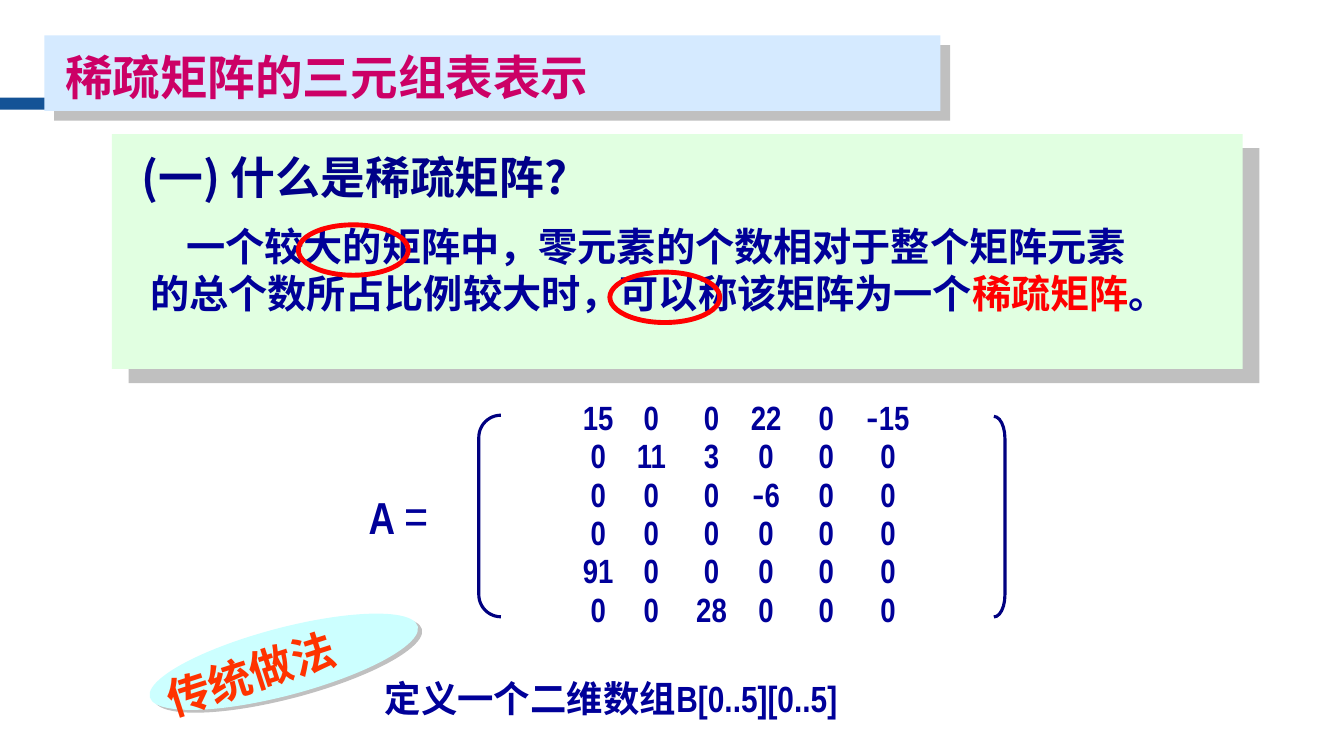
"""Build a slide that introduces the sparse matrix and its triple table."""
from dataclasses import dataclass
from typing import Optional

from lxml.etree import SubElement
from pptx import Presentation
from pptx.dml.color import RGBColor
from pptx.enum.shapes import MSO_SHAPE as Preset
from pptx.oxml.ns import qn
from pptx.util import Pt

COLORS = {
    "bar": "145396", "panel": "E1FFE1", "title_panel": "D5EAFF",
    "oval": "CCFFFF", "shadow": "C0C0C0", "black": "000000",
    "heading": "000088", "body": "000099", "bracket": "000080",
    "title": "CC0066", "red": "FF0000", "method": "FF3300",
}
NARROW, HAN = "Arial Narrow", "Noto Sans CJK SC"
COLUMN_CENTERS = (17, 55, 98, 137, 180, 224)
MATRIX = (
    (15, 0, 0, 22, 0, -15),
    (0, 11, 3, 0, 0, 0),
    (0, 0, 0, -6, 0, 0),
    (0, 0, 0, 0, 0, 0),
    (91, 0, 0, 0, 0, 0),
    (0, 0, 28, 0, 0, 0),
)


@dataclass(frozen=True)
class Box:
    left: float
    top: float
    width: float
    height: float
    rotation: float = 0


@dataclass(frozen=True)
class Figure:
    preset: Preset
    box: Box
    fill: Optional[str] = None
    line: Optional[str] = None
    weight: float = 0
    adjustment: Optional[float] = None
    shadow: Optional[tuple[float, float]] = None


@dataclass(frozen=True)
class Span:
    text: str
    color: Optional[str] = None
    size: Optional[float] = None
    bold: Optional[bool] = None
    font: Optional[str] = None


@dataclass(frozen=True)
class Line:
    spans: tuple[Span, ...]
    indent: float = 0
    tabs: tuple[float, ...] = ()
    spacing: Optional[float] = None


@dataclass(frozen=True)
class Label:
    box: Box
    lines: tuple[Line, ...]
    size: float
    color: str
    font: str = HAN
    shadow: bool = False


def rgb(name: str) -> RGBColor:
    return RGBColor.from_string(COLORS[name])


def add_shadow(parent, color: str, distance: float, angle: float) -> None:
    effects = SubElement(parent, qn("a:effectLst"))
    shadow = SubElement(effects, qn("a:outerShdw"), dist=str(Pt(distance)),
                        dir=str(round(angle * 60000)), algn="ctr", rotWithShape="0")
    SubElement(shadow, qn("a:srgbClr"), val=COLORS[color])


def draw_figure(slide, figure: Figure) -> None:
    box = figure.box
    shape = slide.shapes.add_shape(figure.preset, Pt(box.left), Pt(box.top),
                                   Pt(box.width), Pt(box.height))
    shape.rotation = box.rotation
    if figure.adjustment is not None:
        shape.adjustments[0] = figure.adjustment
    if figure.fill:
        shape.fill.solid()
        shape.fill.fore_color.rgb = rgb(figure.fill)
    else:
        shape.fill.background()
    if figure.line:
        shape.line.color.rgb = rgb(figure.line)
        shape.line.width = Pt(figure.weight)
    else:
        shape.line.fill.background()
    if figure.shadow:
        add_shadow(shape._element.spPr, "shadow", *figure.shadow)
    else:
        shape.shadow.inherit = False


def write_line(paragraph, line: Line, label: Label) -> None:
    properties = paragraph._p.get_or_add_pPr()
    if line.spacing:
        paragraph.line_spacing = line.spacing
    if line.indent:
        properties.set("indent", str(Pt(line.indent)))
    if line.tabs:
        tab_list = SubElement(properties, qn("a:tabLst"))
        for position in line.tabs:
            SubElement(tab_list, qn("a:tab"), pos=str(Pt(position)), algn="ctr")
    font = paragraph.font
    font.size, font.bold, font.name = Pt(label.size), True, label.font
    font.color.rgb = rgb(label.color)
    SubElement(properties.find(qn("a:defRPr")), qn("a:ea"), typeface=HAN)
    for span in line.spans:
        run = paragraph.add_run()
        run.text = span.text
        if span.color:
            run.font.color.rgb = rgb(span.color)
        if span.size:
            run.font.size = Pt(span.size)
        if span.bold is not None:
            run.font.bold = span.bold
        if label.shadow:
            add_shadow(run._r.get_or_add_rPr(), "black", 2, 45)
        if span.font:
            run.font.name = span.font


def draw_label(slide, label: Label) -> None:
    box = label.box
    shape = slide.shapes.add_textbox(Pt(box.left), Pt(box.top), Pt(box.width), Pt(box.height))
    shape.rotation = box.rotation
    frame = shape.text_frame
    frame.word_wrap = True
    for index, line in enumerate(label.lines):
        paragraph = frame.add_paragraph() if index else frame.paragraphs[0]
        write_line(paragraph, line, label)


def plain(text: str) -> tuple[Line, ...]:
    return (Line((Span(text),)),)


def matrix_line(row: tuple[int, ...]) -> Line:
    before, minus, after = "".join(f"\t{value}" for value in row).partition("-")
    spans = (Span(before), Span(minus, font=HAN), Span(after))
    return Line(tuple(span for span in spans if span.text), tabs=COLUMN_CENTERS, spacing=0.95)


DEFINITION = (
    Line((Span("一个较大的矩阵中，零元素的个数相对于整个矩阵元素"),), indent=26),
    Line((Span("的总个数所占比例较大时，可以称该矩阵为一个"),
          Span("稀疏矩阵", color="red"), Span("。"))),
)
ARRAY = (Line((Span("定义一个二维数组"), Span("B[0..5][0..5]", font=NARROW))),)
EQUATION = (Line((Span("A "), Span("=", size=36, bold=False))),)

ITEMS = (
    Figure(Preset.RECTANGLE, Box(0, 69.8, 267.8, 8.6), fill="bar"),
    Figure(Preset.RECTANGLE, Box(79.9, 95.8, 807.8, 167.8), fill="panel", shadow=(15.6, 40)),
    Label(Box(94.3, 103.7, 491.8, 46.1), plain("(一) 什么是稀疏矩阵?"), 32, "heading"),
    Label(Box(100.1, 155.5, 800, 74.9), DEFINITION, 28, "body"),
    Figure(Preset.OVAL, Box(213.1, 160.6, 78.5, 36), line="red", weight=3.5),
    Figure(Preset.OVAL, Box(435.6, 194.4, 78.5, 36), line="red", weight=3.5),
    Label(Box(256.3, 342, 115, 51.1), EQUATION, 32, "body", NARROW),
    Label(Box(403.2, 282.2, 360, 172.8), tuple(map(matrix_line, MATRIX)), 24, "body", NARROW),
    Figure(Preset.LEFT_BRACKET, Box(342, 296.6, 15.8, 144), line="bracket",
           weight=2.25, adjustment=1),
    Figure(Preset.RIGHT_BRACKET, Box(709.9, 297.4, 7.9, 143.3), line="bracket",
           weight=2.25, adjustment=1.99),
    Figure(Preset.RECTANGLE, Box(31.7, 25.2, 640.1, 54), fill="title_panel", shadow=(9.9, 45)),
    Label(Box(39.6, 31, 629.3, 48.2), plain("稀疏矩阵的三元组表表示"), 34, "title", NARROW),
    Label(Box(267.8, 479.5, 560, 38.9), ARRAY, 26, "body"),
    Figure(Preset.OVAL, Box(103.7, 448.6, 198, 48.2, 345.2), fill="oval", shadow=(3.6, 34)),
    Label(Box(108, 445.7, 223.2, 44.6, 342.1), plain("传统做法"), 31, "method", NARROW, True),
)


def main() -> None:
    presentation = Presentation()
    presentation.slide_width, presentation.slide_height = Pt(960), Pt(540)
    slide = presentation.slides.add_slide(presentation.slide_layouts[6])
    for item in ITEMS:
        if isinstance(item, Figure):
            draw_figure(slide, item)
        else:
            draw_label(slide, item)
    presentation.save("out.pptx")


if __name__ == "__main__":
    main()
